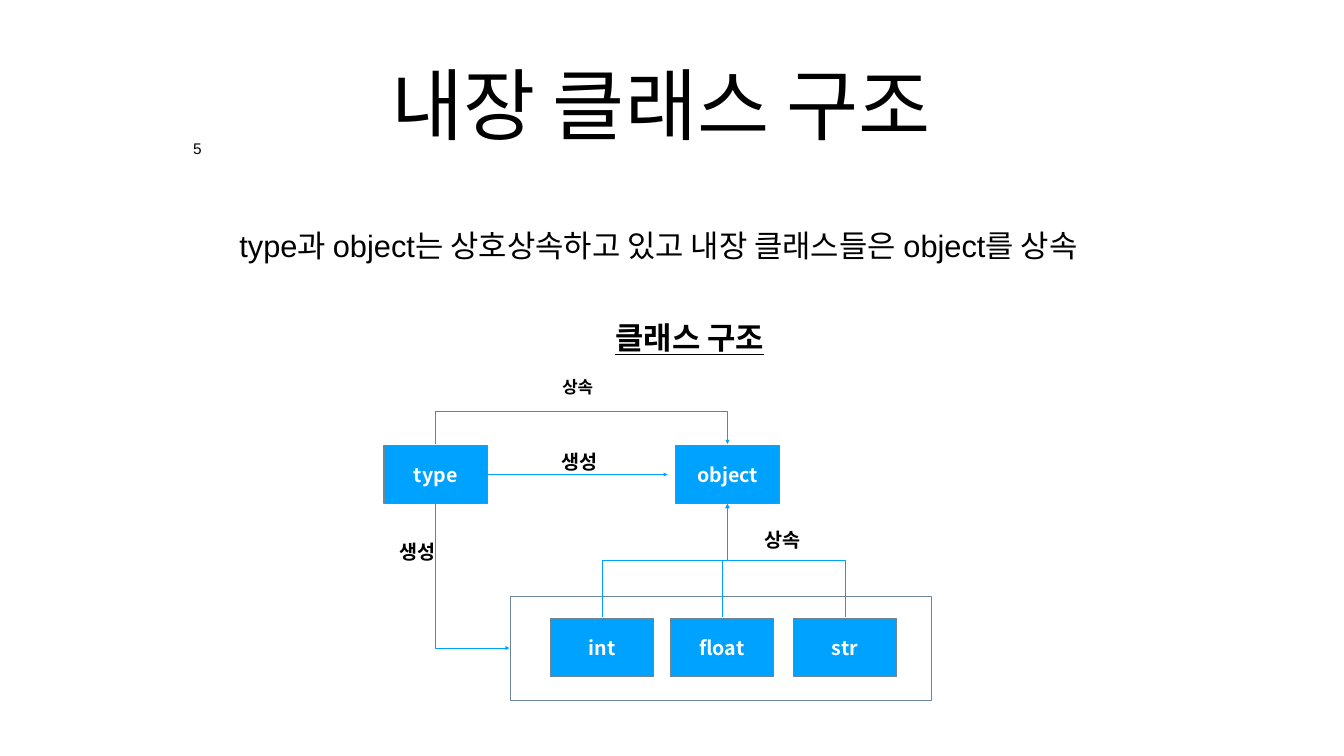
import pptx
import pptx.dml.color
import pptx.enum.shapes
import pptx.enum.text
import pptx.oxml
import pptx.oxml.ns
import pptx.util
from lxml import etree

Inches = pptx.util.Inches
Pt = pptx.util.Pt
ALIGN = pptx.enum.text.PP_ALIGN
ANCHOR = pptx.enum.text.MSO_ANCHOR
RECTANGLE = pptx.enum.shapes.MSO_SHAPE.RECTANGLE
STRAIGHT = pptx.enum.shapes.MSO_CONNECTOR.STRAIGHT
SANS = "Noto Sans CJK KR"
BLUE, SLATE, BLACK, WHITE = "00A2FF", "6C8599", "000000", "FFFFFF"
NODE_WIDTH, NODE_HEIGHT = 2.05, 1.15


def colour(value):
    return pptx.dml.color.RGBColor.from_string(value)


def write(shape, text, size, font=SANS, ink=BLACK, bold=True, align=ALIGN.CENTER,
          anchor=ANCHOR.TOP, insets=(0.1, 0.05, 0.1, 0.05), wrap=True):
    frame = shape.text_frame
    frame.word_wrap = wrap
    frame.vertical_anchor = anchor
    frame.margin_left, frame.margin_top, frame.margin_right, frame.margin_bottom = map(Inches, insets)
    para = frame.paragraphs[0]
    para.text = text
    para.alignment = align
    para.font.name = font
    para.font.size = Pt(size)
    para.font.bold = bold
    para.font.color.rgb = colour(ink)
    east = etree.SubElement(para.font._element, pptx.oxml.ns.qn("a:ea"))
    east.set("typeface", SANS)
    return para


def add_text(page, box, text, size, **style):
    return write(page.shapes.add_textbox(*map(Inches, box)), text, size, **style)


def add_box(page, box, fill=None):
    shape = page.shapes.add_shape(RECTANGLE, *map(Inches, box))
    shape.shadow.inherit = False
    if fill:
        shape.fill.solid()
        shape.fill.fore_color.rgb = colour(fill)
    else:
        shape.fill.background()
    shape.line.color.rgb = colour(SLATE)
    shape.line.width = Pt(1.5)
    return shape


def add_node(page, left, top, name):
    node = add_box(page, (left, top, NODE_WIDTH, NODE_HEIGHT), BLUE)
    write(node, name, 28, ink=WHITE, anchor=ANCHOR.MIDDLE)


def add_arrow(page, *points):
    ends = [(Inches(x), Inches(y)) for x, y in points]
    if len(ends) == 2:
        arrow = page.shapes.add_connector(STRAIGHT, *ends[0], *ends[1])
        etree.SubElement(arrow._element.spPr, pptx.oxml.ns.qn("a:effectLst"))
    else:
        builder = page.shapes.build_freeform(*ends[0])
        builder.add_line_segments(ends[1:], close=False)
        arrow = builder.convert_to_shape()
        arrow.fill.background()
        arrow.shadow.inherit = False
    arrow.line.color.rgb = colour(BLUE)
    arrow.line.width = Pt(0.79)
    head = etree.SubElement(arrow.line._get_or_add_ln(), pptx.oxml.ns.qn("a:tailEnd"))
    head.set("type", "triangle")


def add_heading(page, left, top):
    insets = (0.08, 0.08, 0.08, 0.08)
    add_text(page, (left + 1.05, top, 17.07, 3.32), "내장 클래스 구조", 112, font="Arial",
             bold=False, anchor=ANCHOR.MIDDLE, insets=(0.08, 0.08, 0.51, 0.08))
    number = add_text(page, (left, top + 2.36, 0.33, 0.45), "5", 22, font="Arial",
                      bold=False, insets=insets, wrap=False)
    number.line_spacing = 0.8
    add_text(page, (left + 0.58, top + 3.17, 20.73, 2.6),
             "type과 object는 상호상속하고 있고 내장 클래스들은 object를 상속", 44, font="Arial",
             bold=False, align=ALIGN.LEFT, anchor=ANCHOR.MIDDLE, insets=(0.42, 0.08, 0.08, 0.08))


def add_diagram(page, left, top):
    title = add_text(page, (left + 2.95, top, 6.24, 1), "클래스 구조", 44)
    title.font.underline = True

    node_top = top + 2.56
    node_bottom = node_top + NODE_HEIGHT
    object_left = left + 5.79
    type_x = left + NODE_WIDTH / 2 - 0.01
    object_x = object_left + NODE_WIDTH / 2
    add_node(page, left, node_top, "type")
    add_node(page, object_left, node_top, "object")

    group_left, group_top = left + 2.51, top + 5.56
    add_box(page, (group_left, group_top, 8.35, 2.05))
    junction = node_bottom + 1.13
    for name, offset in (("int", 0.79), ("float", 3.17), ("str", 5.61)):
        child_left = group_left + offset
        child_x = child_left + NODE_WIDTH / 2
        add_node(page, child_left, group_top + 0.43, name)
        add_arrow(page, (child_x, group_top + 0.41), (child_x, junction),
                  (object_x, junction), (object_x, node_bottom + 0.01))

    loop_top = node_top - 0.68
    add_arrow(page, (type_x, node_top - 0.03), (type_x, loop_top),
              (object_x, loop_top), (object_x, node_top - 0.03))
    middle = node_top + NODE_HEIGHT / 2
    add_arrow(page, (left + NODE_WIDTH, middle), (object_left - 0.16, middle))
    group_middle = group_top + 1.02
    add_arrow(page, (type_x, node_bottom + 0.01), (type_x, group_middle),
              (group_left - 0.02, group_middle))

    for text, x, y, size in (("생성", -0.12, 4.38, 28), ("상속", 7.13, 4.14, 28),
                             ("생성", 3.09, 2.59, 28), ("상속", 3.06, 1.15, 24)):
        add_text(page, (left + x, top + y, 1.57, 0.57), text, size)


def main():
    deck = pptx.Presentation()
    deck.slide_width, deck.slide_height = Inches(26.67), Inches(15)
    page = deck.slides.add_slide(deck.slide_layouts[6])
    add_heading(page, 3.75, 0.39)
    add_diagram(page, 7.62, 6.28)
    deck.save("out.pptx")


main()
